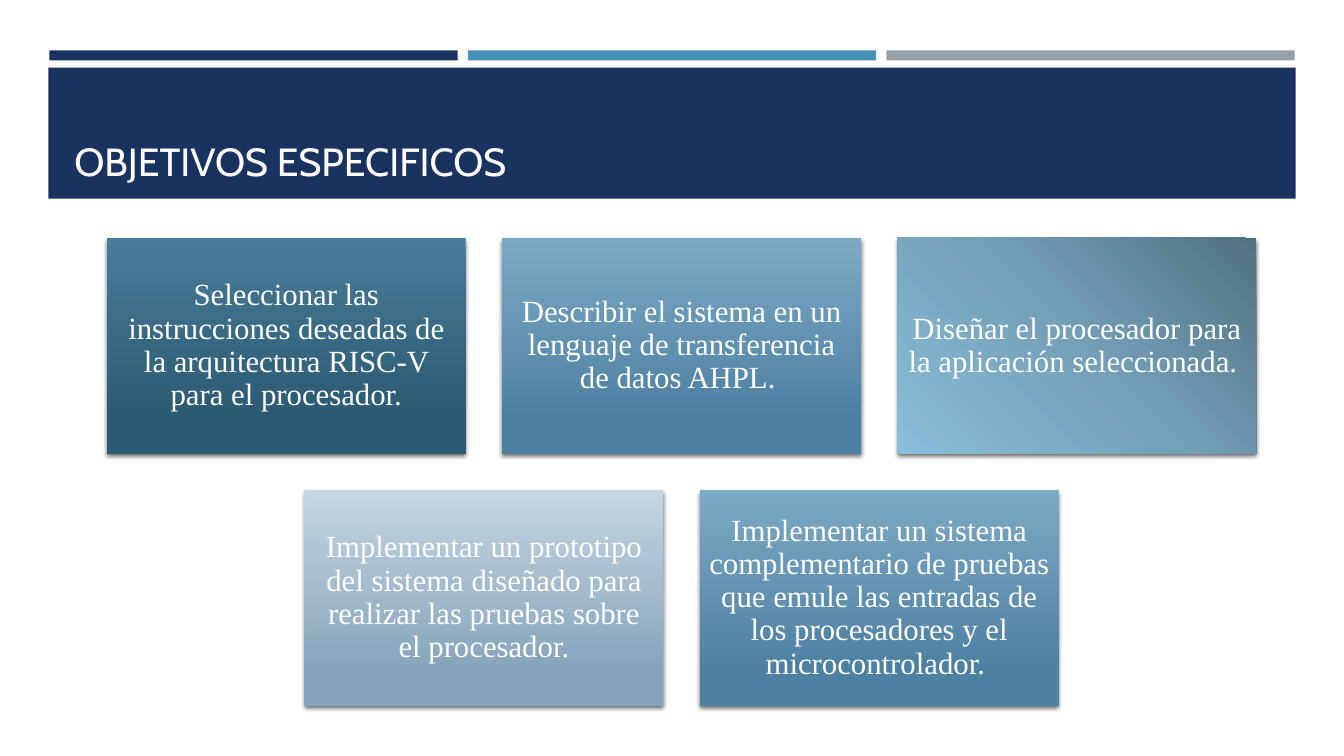
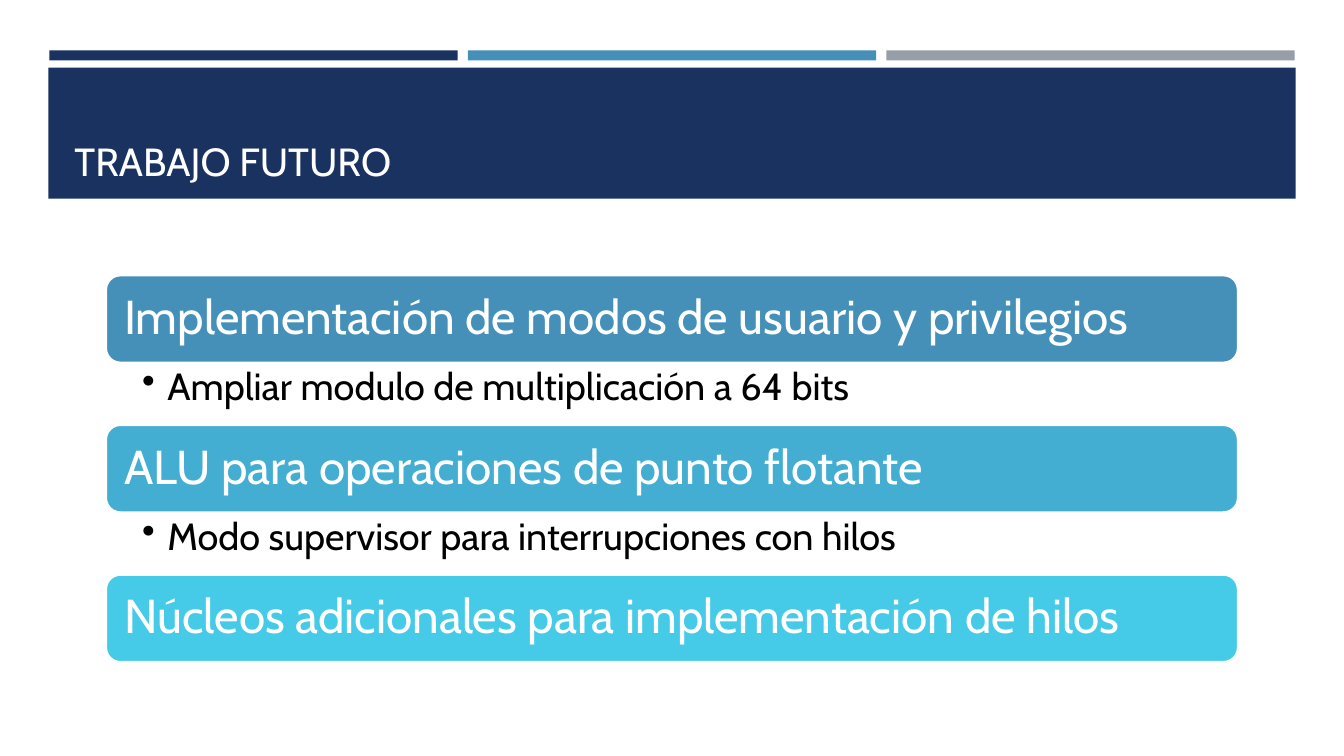
from dataclasses import dataclass

from lxml import etree
from pptx import Presentation
from pptx.dml.color import RGBColor
from pptx.enum.shapes import MSO_SHAPE as SHAPE
from pptx.enum.text import MSO_ANCHOR as ANCHOR, PP_ALIGN as ALIGN
from pptx.oxml.ns import qn
from pptx.util import Inches, Pt


@dataclass(frozen=True)
class Theme:
    navy: str = "1A3260"
    blue: str = "4590B8"
    grey: str = "969FA7"
    sky: str = "43ADD2"
    cyan: str = "45CBE8"
    white: str = "FFFFFF"
    black: str = "000000"
    sans: str = "Cabin"
    serif: str = "Times New Roman"
    title_size: int = 28
    card_size: int = 22
    topic_size: int = 34
    detail_size: int = 27


T = Theme()

# Gradients: angle in degrees clockwise, then (position %, colour) stops
TEAL = (90, [(0, "487C9A"), (84, "2B5A72")])
STEEL = (90, [(0, "7DA9C5"), (84, "4D81A2")])
DIAGONAL = (135, [(0, "527181"), (50, "74A0B8"), (100, "8ABEDA")])
PALE = (90, [(0, "C6D6E2"), (84, "86A4BB")])

OBJECTIVE_ROWS = [
    [("Seleccionar las instrucciones deseadas de la arquitectura RISC-V "
      "para el procesador.", TEAL),
     ("Describir el sistema en un lenguaje de transferencia de datos AHPL. ", STEEL),
     ("Diseñar el procesador para la aplicación seleccionada. ", DIAGONAL)],
    [("Implementar un prototipo del sistema diseñado para realizar las pruebas "
      "sobre el procesador.", PALE),
     ("Implementar un sistema complementario de pruebas que emule las entradas "
      "de los procesadores y el microcontrolador. ", STEEL)],
]

FUTURE_TOPICS = [
    ("Implementación de modos de usuario y privilegios", T.blue,
     "Ampliar modulo de multiplicación a 64 bits"),
    ("ALU para operaciones de punto flotante", T.sky,
     "Modo supervisor para interrupciones con hilos"),
    ("Núcleos adicionales para implementación de hilos", T.cyan, None),
]


# Basic elements
def add_box(slide, box, fill=None, kind=SHAPE.RECTANGLE):
    sp = slide.shapes.add_shape(kind, *map(Inches, box))
    sp.shadow.inherit = False
    sp.line.fill.background()
    if fill:
        sp.fill.solid()
        sp.fill.fore_color.rgb = RGBColor.from_string(fill)
    return sp


def add_textbox(slide, box):
    return slide.shapes.add_textbox(*map(Inches, box))


def set_text(sp, text, size, color, font=T.sans, align=ALIGN.LEFT,
             anchor=ANCHOR.MIDDLE, insets=(0.1, 0.05, 0.1, 0.05), spacing=0.9):
    tf = sp.text_frame
    tf.word_wrap = True
    tf.vertical_anchor = anchor
    (tf.margin_left, tf.margin_top,
     tf.margin_right, tf.margin_bottom) = map(Inches, insets)
    p = tf.paragraphs[0]
    p.text = text
    p.alignment = align
    p.line_spacing = spacing
    f = p.runs[0].font
    f.name, f.size = font, Pt(size)
    f.color.rgb = RGBColor.from_string(color)
    return p


# Effects that need XML
def add_color(parent, color):
    return etree.SubElement(parent, qn("a:srgbClr"), val=color)


def set_gradient(sp, gradient):
    angle, stops = gradient
    grad = etree.Element(qn("a:gradFill"), rotWithShape="1")
    stop_list = etree.SubElement(grad, qn("a:gsLst"))
    for pos, color in stops:
        add_color(etree.SubElement(stop_list, qn("a:gs"), pos=str(pos * 1000)), color)
    etree.SubElement(grad, qn("a:lin"), ang=str(angle * 60000), scaled="0")
    sp._element.spPr.find(qn("a:prstGeom")).addnext(grad)


def set_shadow(sp):
    effects = sp._element.spPr.find(qn("a:effectLst"))
    shadow = etree.SubElement(effects, qn("a:outerShdw"), blurRad=str(Pt(3)),
                              dist=str(Pt(2)), dir=str(90 * 60000), rotWithShape="0")
    etree.SubElement(add_color(shadow, T.black), qn("a:alpha"), val="55000")


def set_bullet(p, indent):
    pPr = p._p.get_or_add_pPr()
    pPr.set("marL", str(Inches(indent)))
    pPr.set("indent", str(-Inches(indent)))
    etree.SubElement(pPr, qn("a:buChar"), char="•")


# Slide parts
def add_titled_slide(prs, title):
    slide = prs.slides.add_slide(prs.slide_layouts[6])
    for i, color in enumerate((T.navy, T.blue, T.grey)):
        add_box(slide, (0.49 + i * 4.15, 0.5, 4.05, 0.1), color)
    add_box(slide, (0.48, 0.67, 12.37, 1.3), T.navy)
    set_text(add_textbox(slide, (0.64, 0.77, 12.06, 1.11)), title,
             T.title_size, T.white, anchor=ANCHOR.BOTTOM)
    return slide


def add_card(slide, box, text, gradient):
    sp = add_box(slide, box)
    set_gradient(sp, gradient)
    set_shadow(sp)
    set_text(sp, text, T.card_size, T.white, T.serif, ALIGN.CENTER,
             insets=(0.09,) * 4)


def add_topic(slide, box, text, color):
    sp = add_box(slide, box, color, SHAPE.ROUNDED_RECTANGLE)
    sp.line.color.rgb = RGBColor.from_string(T.white)
    sp.line.width = Pt(1.75)
    set_text(sp, text, T.topic_size, T.white, insets=(0.14,) * 4)


def add_detail(slide, box, text):
    p = set_text(add_textbox(slide, box), text, T.detail_size, T.black,
                 anchor=ANCHOR.TOP, insets=(0.36, 0.05, 0.26, 0.05))
    set_bullet(p, 0.25)


# Slides
def build_objectives(prs):
    slide = add_titled_slide(prs, "OBJETIVOS ESPECIFICOS")
    width, height, gap, center, top = 3.56, 2.14, 0.36, 6.76, 2.36
    for row, cards in enumerate(OBJECTIVE_ROWS):
        left = center - (len(cards) * (width + gap) - gap) / 2
        y = top + row * (height + gap)
        for col, (text, gradient) in enumerate(cards):
            add_card(slide, (left + col * (width + gap), y, width, height),
                     text, gradient)


def build_future_work(prs):
    slide = add_titled_slide(prs, "TRABAJO FUTURO")
    left, width, height, first, last = 1.05, 11.23, 0.87, 2.73, 5.7
    pitch = (last - first) / (len(FUTURE_TOPICS) - 1)
    for i, (topic, color, detail) in enumerate(FUTURE_TOPICS):
        y = first + i * pitch
        add_topic(slide, (left, y, width, height), topic, color)
        if detail:
            add_detail(slide, (left, y + height, width, pitch - height), detail)


def main():
    prs = Presentation()
    prs.slide_width, prs.slide_height = Inches(13.33), Inches(7.5)
    build_objectives(prs)
    build_future_work(prs)
    prs.save("out.pptx")


if __name__ == "__main__":
    main()
